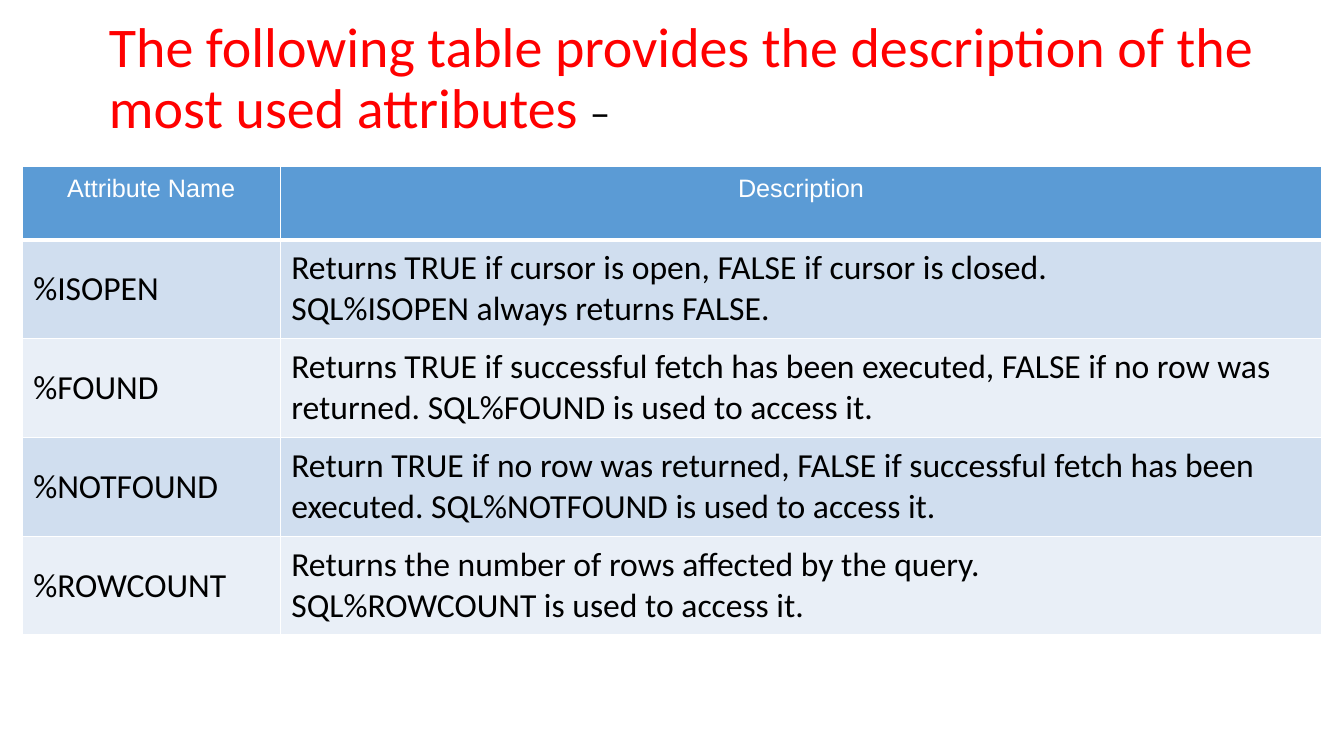
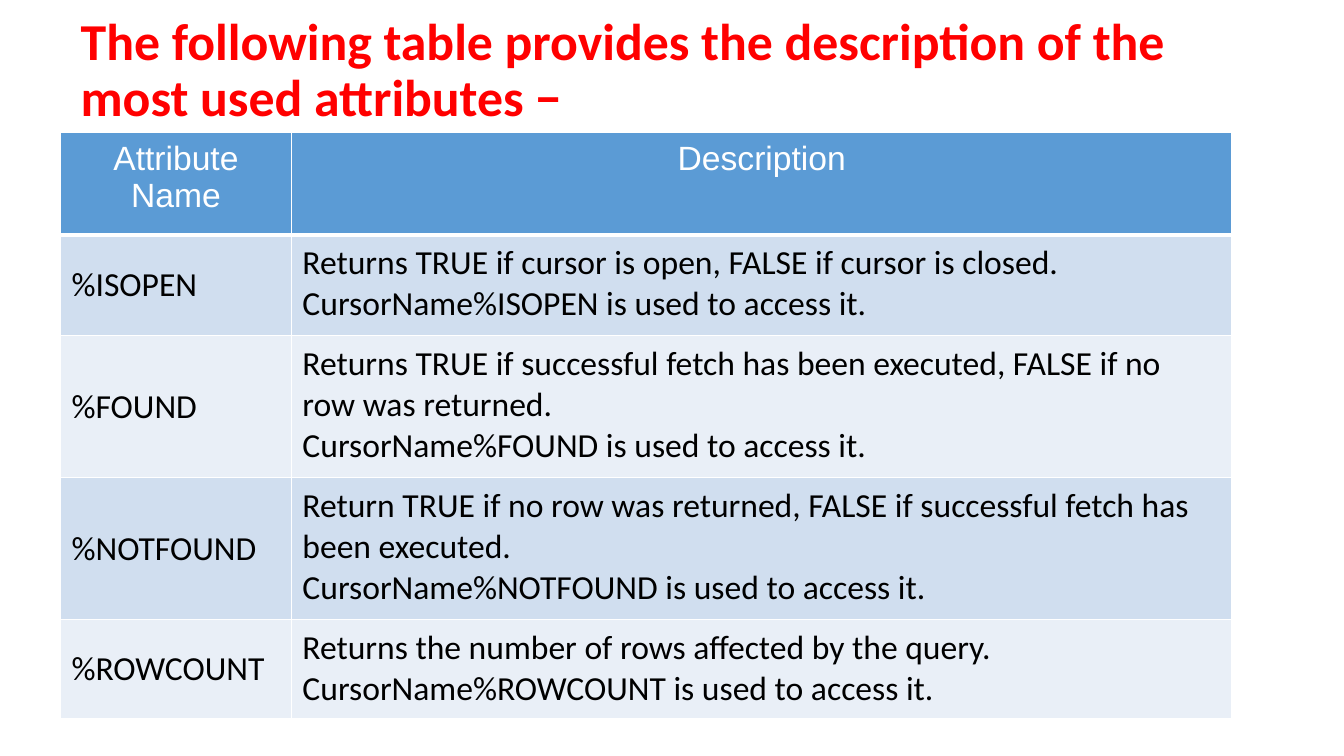
from lxml import etree
from pptx import Presentation
from pptx.dml.color import RGBColor
from pptx.enum.text import MSO_ANCHOR as Anchor, MSO_AUTO_SIZE as AutoSize, PP_ALIGN as Align
from pptx.oxml.ns import qn
from pptx.util import Inches, Pt

# Shared look
RED, BLACK, WHITE = "FF0000", "000000", "FFFFFF"
HEADER_FILL = "5B9BD5"
BAND_FILLS = ("D0DEEF", "E9EFF7")
TITLE = "The following table provides the description of the most used attributes "
HEADERS = ("Attribute Name", "Description")

# Table content: attribute name, then its description paragraphs
IMPLICIT_ROWS = [
    ("%ISOPEN", ["Returns TRUE if cursor is open, FALSE if cursor is closed.",
                 "SQL%ISOPEN always returns FALSE."]),
    ("%FOUND", ["Returns TRUE if successful fetch has been executed, FALSE if no row was "
                "returned. SQL%FOUND is used to access it."]),
    ("%NOTFOUND", ["Return TRUE if no row was returned, FALSE if successful fetch has been "
                   "executed. SQL%NOTFOUND is used to access it."]),
    ("%ROWCOUNT", ["Returns the number of rows affected by the query.",
                   "SQL%ROWCOUNT is used to access it."]),
]
EXPLICIT_ROWS = [
    ("%ISOPEN", ["Returns TRUE if cursor is open, FALSE if cursor is closed.",
                 "CursorName%ISOPEN is used to access it."]),
    ("%FOUND", ["Returns TRUE if successful fetch has been executed, FALSE if no row was returned.",
                "CursorName%FOUND is used to access it."]),
    ("%NOTFOUND", ["Return TRUE if no row was returned, FALSE if successful fetch has been executed.",
                   "CursorName%NOTFOUND is used to access it."]),
    ("%ROWCOUNT", ["Returns the number of rows affected by the query.",
                   "CursorName%ROWCOUNT is used to access it."]),
]


def rgb(color):
    return RGBColor.from_string(color)


def style_run(r, size, color, font="Calibri", bold=False):
    r.font.name, r.font.size, r.font.bold = font, Pt(size), bold
    r.font.color.rgb = rgb(color)


def add_title(s, box, runs):
    """Place the title; runs holds (text, size, color, bold)."""
    title = s.shapes.title
    title.left, title.top, title.width, title.height = map(Inches, box)
    tf = title.text_frame
    tf.word_wrap, tf.auto_size, tf.vertical_anchor = True, AutoSize.NONE, Anchor.TOP
    p = tf.paragraphs[0]
    p.alignment, p.line_spacing = Align.LEFT, 0.9
    for text, size, color, bold in runs:
        r = p.add_run()
        r.text = text
        style_run(r, size, color, bold=bold)


def set_borders(cell, top, bottom):
    """Draw white cell borders; widths are in points."""
    tc_pr = cell._tc.get_or_add_tcPr()
    for side, width in (("L", 1), ("R", 1), ("T", top), ("B", bottom)):
        ln = etree.SubElement(tc_pr, qn(f"a:ln{side}"), w=str(Pt(width)))
        fill = etree.SubElement(ln, qn("a:solidFill"))
        etree.SubElement(fill, qn("a:srgbClr"), val=WHITE)


def fill_cell(cell, lines, row, col, header_size):
    header = row == 0
    set_borders(cell, top=3 if row == 1 else 1, bottom=3 if header else 1)
    cell.fill.solid()
    cell.fill.fore_color.rgb = rgb(HEADER_FILL if header else BAND_FILLS[(row - 1) % 2])
    cell.margin_left = cell.margin_right = Inches(0.11)
    cell.margin_top = cell.margin_bottom = Inches(0.08)
    cell.vertical_anchor = Anchor.MIDDLE if col == 0 and not header else Anchor.TOP
    cell.text_frame.text = "\n".join(lines)
    for p in cell.text_frame.paragraphs:
        p.alignment = Align.CENTER if header else Align.LEFT
        if header:
            style_run(p.runs[0], header_size, WHITE, "Arial")
        else:
            style_run(p.runs[0], 24, BLACK)


def add_attribute_table(s, left, top, widths, heights, rows, header_size):
    frame = s.shapes.add_table(len(heights), len(widths), Inches(left), Inches(top),
                               Inches(sum(widths)), Inches(sum(heights)))
    table = frame.table
    for column, width in zip(table.columns, widths):
        column.width = Inches(width)
    for row, height in zip(table.rows, heights):
        row.height = Inches(height)
    for i, (name, description) in enumerate([(HEADERS[0], [HEADERS[1]])] + rows):
        for j, lines in enumerate(([name], description)):
            fill_cell(table.cell(i, j), lines, i, j, header_size)


def main():
    prs = Presentation()
    prs.slide_width, prs.slide_height = Inches(13.33), Inches(7.5)
    title_only = prs.slide_layouts[5]

    # Implicit cursor attributes
    s = prs.slides.add_slide(title_only)
    add_title(s, (0.98, 0.14, 12, 1.4), [(TITLE, 40, RED, False), ("−", 28, BLACK, False)])
    add_attribute_table(s, 0.22, 1.65, (2.56, 10.33), [0.73] + [0.98] * 4, IMPLICIT_ROWS, 18)

    # Explicit cursor attributes
    s = prs.slides.add_slide(title_only)
    add_title(s, (0.7, 0.11, 11.85, 1.2), [(TITLE + "−", 37, RED, True)])
    add_attribute_table(s, 0.6, 1.31, (2.29, 9.33), (1.02, 1, 1.41, 1.41, 0.98), EXPLICIT_ROWS, 24)

    prs.save("out.pptx")


if __name__ == "__main__":
    main()
